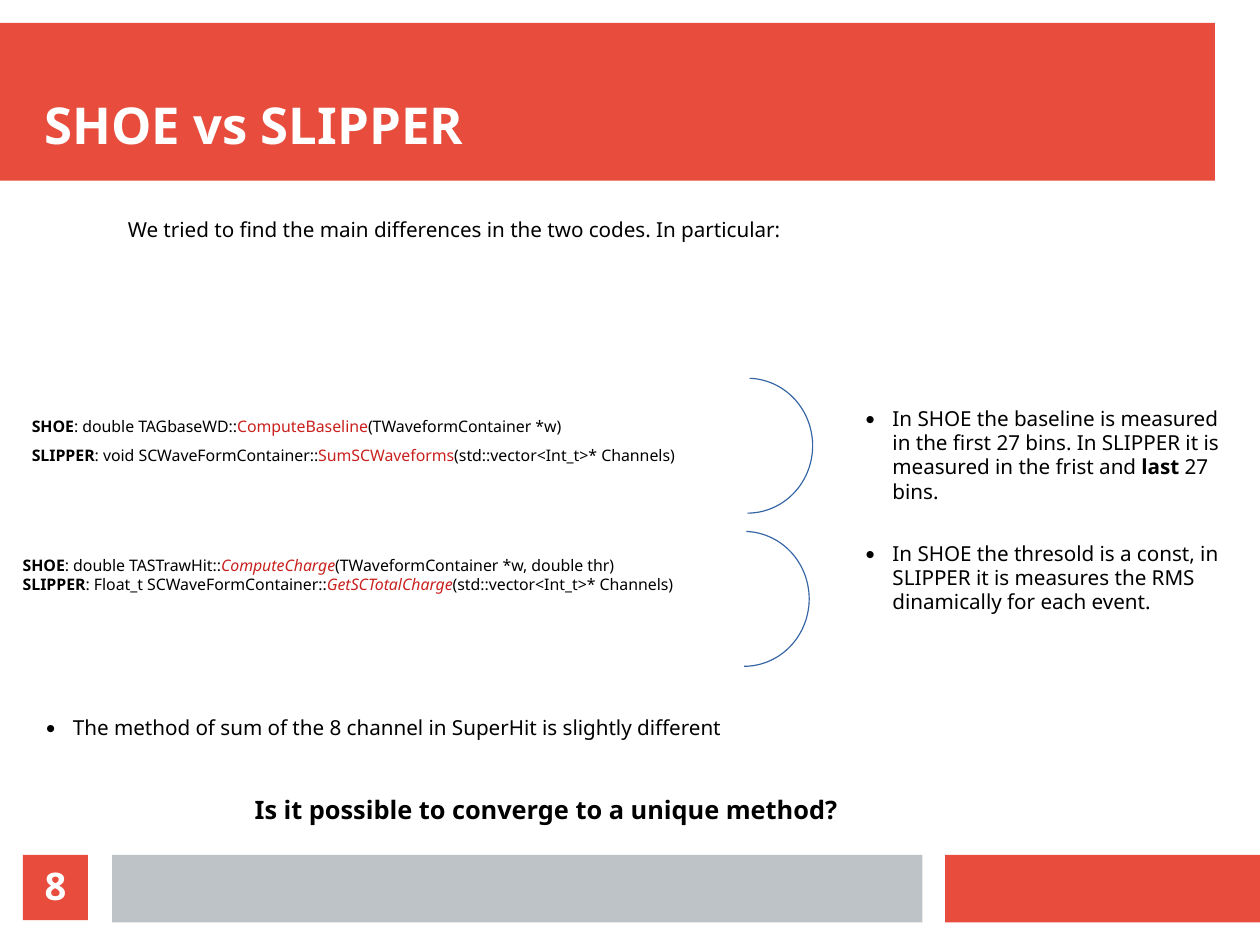
from math import cos, radians, sin

from lxml import etree
from pptx import Presentation
from pptx.dml.color import RGBColor
from pptx.enum import shapes, text
from pptx.oxml.ns import qn
from pptx.util import Inches, Pt

FONT = "Noto Sans"
RED, GREY, BLUE = "E74C3C", "BDC3C7", "3465A4"
BLACK, WHITE, METHOD_RED = "000000", "FFFFFF", "C9211E"
BODY, CODE = 13, 10
# The page is 28 by 21 cm
PAGE_WIDTH, PAGE_HEIGHT = 28 / 2.54, 21 / 2.54


def color(hex_string):
    return RGBColor.from_string(hex_string)


def add_runs(paragraph, runs, size, default=BLACK):
    """Each run is (words, style); style holds b, i or r (red)."""
    paragraph.line_spacing = 0.98
    for words, style in runs:
        run = paragraph.add_run()
        run.text = words
        run.font.name = FONT
        run.font.size = Pt(size)
        run.font.bold = "b" in style
        run.font.italic = "i" in style
        run.font.color.rgb = color(METHOD_RED if "r" in style else default)


def add_bullet(paragraph):
    props = paragraph._p.get_or_add_pPr()
    props.set("marL", str(Inches(0.23)))
    props.set("indent", str(-Inches(0.23)))
    bullet_color = etree.SubElement(props, qn("a:buClr"))
    etree.SubElement(bullet_color, qn("a:srgbClr"), val=BLACK)
    etree.SubElement(props, qn("a:buSzPct"), val="45000")
    etree.SubElement(props, qn("a:buFont"), typeface=FONT)
    etree.SubElement(props, qn("a:buChar"), char="●")


def set_margins(frame, across, down):
    frame.margin_left = frame.margin_right = Inches(across)
    frame.margin_top = frame.margin_bottom = Inches(down)


def add_text(slide, box, lines, size=BODY, bullet=False, spaced=False):
    frame = slide.shapes.add_textbox(*map(Inches, box)).text_frame
    frame.word_wrap = True
    set_margins(frame, 0.1, 0.05)
    for index, runs in enumerate(lines):
        paragraph = frame.add_paragraph() if index else frame.paragraphs[0]
        add_runs(paragraph, runs, size)
        if spaced:
            paragraph.space_before, paragraph.space_after = Pt(12), Pt(10)
        if bullet:
            add_bullet(paragraph)
    return frame


def add_block(slide, box, fill):
    block = slide.shapes.add_shape(shapes.MSO_SHAPE.RECTANGLE, *map(Inches, box))
    block.shadow.inherit = False
    block.fill.solid()
    block.fill.fore_color.rgb = color(fill)
    block.line.fill.background()
    return block


def add_half_ellipse(slide, box):
    left, top, width, height = box
    middle = top + height / 2
    points = [(Inches(left + width * cos(radians(a))),
               Inches(middle + height / 2 * sin(radians(a))))
              for a in range(90, -89, -2)]
    builder = slide.shapes.build_freeform(*points[0])
    builder.add_line_segments(points[1:], close=False)
    curve = builder.convert_to_shape()
    curve.shadow.inherit = False
    curve.fill.background()
    curve.line.color.rgb = color(BLUE)
    curve.line.width = Pt(0.75)


def code_line(code, returns, method, arguments, style="r"):
    return [(code, "b"), (": " + returns + "::", ""), (method, style), (arguments, "")]


def add_header(slide, box):
    left, top, width, height = box
    add_block(slide, box, RED)
    title = add_text(slide, (left + 0.39, top + 0.19, width - 0.4, height - 0.4), [])
    set_margins(title, 0, 0)
    title.vertical_anchor = text.MSO_ANCHOR.BOTTOM
    add_runs(title.paragraphs[0], [("SHOE vs SLIPPER", "b")], 32, WHITE)


def add_baseline_comparison(slide, box):
    left, top, width, height = box
    lines = [
        code_line("SHOE", "double TAGbaseWD", "ComputeBaseline", "(TWaveformContainer *w)"),
        code_line("SLIPPER", "void SCWaveFormContainer", "SumSCWaveforms",
                  "(std::vector<Int_t>* Channels)"),
    ]
    for index, line in enumerate(lines):
        add_text(slide, (left + 0.08, top + 0.29 + 0.26 * index, 7.9, 0.43),
                 [line], CODE, spaced=True)
    add_half_ellipse(slide, (left + 6.44, top, 0.57, height))
    add_text(slide, (left + 7.38, top + 0.2, width - 7.38, 1.37), [[
        ("In SHOE the baseline is measured in the first 27 bins. "
         "In SLIPPER it is measured in the frist and ", ""),
        ("last", "b"), (" 27 bins.", "")]], bullet=True)


def add_charge_comparison(slide, box):
    left, top, width, height = box
    add_text(slide, (left, top + 0.17, 7.86, 0.43), [
        code_line("SHOE", "double TASTrawHit", "ComputeCharge",
                  "(TWaveformContainer *w, double thr)", "ri"),
        code_line("SLIPPER", "Float_t SCWaveFormContainer", "GetSCTotalCharge",
                  "(std::vector<Int_t>* Channels)", "ri"),
    ], CODE)
    add_half_ellipse(slide, (left + 6.41, top, 0.57, height))
    add_text(slide, (left + 7.38, top + 0.04, width - 7.38, 1.37), [[
        ("In SHOE the thresold is a const, in SLIPPER it is measures "
         "the RMS dinamically for each event.", "")]], bullet=True)


def add_conclusion(slide, box):
    left, top, width, height = box
    add_text(slide, (left, top, width, 1.37), [[
        ("The method of sum of the 8 channel in SuperHit is slightly different", "")]],
        bullet=True)
    add_text(slide, (left + 1.82, top + 0.69, 6.46, height - 0.69), [[
        ("Is it possible to converge to a unique method?", "b")]], 16, spaced=True)


def add_footer(slide, box):
    left, top, width, height = box
    add_block(slide, (left + 0.98, top, 7.09, height), GREY)
    add_block(slide, (left + 8.27, top, width - 8.27, height), RED)
    number = add_block(slide, (left + 0.2, top, 0.57, 0.57), RED).text_frame
    set_margins(number, 0, 0)
    number.vertical_anchor = text.MSO_ANCHOR.MIDDLE
    number.paragraphs[0].alignment = text.PP_ALIGN.CENTER
    add_runs(number.paragraphs[0], [("8", "b")], 24, WHITE)


def main():
    deck = Presentation()
    deck.slide_width, deck.slide_height = Inches(PAGE_WIDTH), Inches(PAGE_HEIGHT)
    slide = deck.slides.add_slide(deck.slide_layouts[6])

    # Title band and introduction
    add_header(slide, (0, 0.2, 10.63, 1.38))
    add_text(slide, (1.02, 1.86, 8.5, 1.37), [[
        ("We tried to find the main differences in the two codes. In particular:", "")]])

    # Method comparisons
    add_baseline_comparison(slide, (0.1, 3.31, 10.77, 1.18))
    add_charge_comparison(slide, (0.1, 4.65, 10.69, 1.18))

    # Closing question and footer
    add_conclusion(slide, (0.31, 6.22, 10.5, 1.31))
    add_footer(slide, (0, 7.48, PAGE_WIDTH, 0.59))
    deck.save("out.pptx")


if __name__ == "__main__":
    main()
